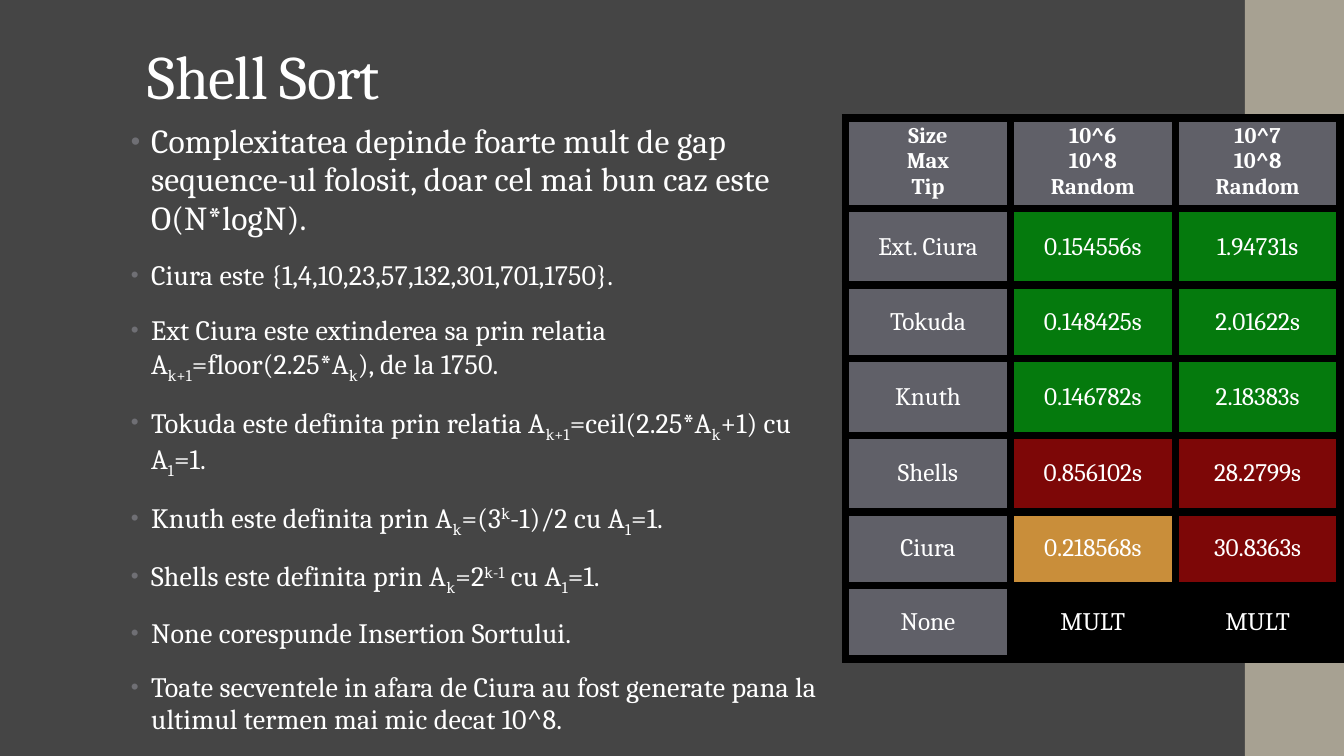
from lxml.etree import SubElement
from pptx import Presentation
from pptx.dml.color import RGBColor
from pptx.enum.shapes import MSO_SHAPE
from pptx.enum.text import MSO_ANCHOR, PP_ALIGN
from pptx.oxml.ns import qn
from pptx.util import Pt

WHITE = RGBColor(0xFF, 0xFF, 0xFF)
BLACK = RGBColor(0x00, 0x00, 0x00)
BACKGROUND = RGBColor(0x45, 0x45, 0x45)
SIDEBAR = RGBColor(0xA7, 0xA1, 0x92)
BULLET = RGBColor(0x6F, 0x6F, 0x74)
LABEL = RGBColor(0x60, 0x60, 0x68)
FAST = RGBColor(0x05, 0x7A, 0x0D)
MEDIUM = RGBColor(0xC9, 0x8E, 0x3A)
SLOW = RGBColor(0x7D, 0x07, 0x07)


def format_run(run, size, bold=False, spacing=0):
    run.font.name = "Cambria"
    run.font.size = Pt(size)
    run.font.bold = bold
    run.font.color.rgb = WHITE
    if spacing:
        run._r.get_or_add_rPr().set("spc", str(spacing))


def add_border(cell, color, width):
    properties = cell._tc.get_or_add_tcPr()
    for side in ("a:lnL", "a:lnR", "a:lnT", "a:lnB"):
        line = SubElement(properties, qn(side), w=str(Pt(width)))
        fill = SubElement(line, qn("a:solidFill"))
        SubElement(fill, qn("a:srgbClr"), val=str(color))


presentation = Presentation()
presentation.slide_width = Pt(960)
presentation.slide_height = Pt(540)
slide = presentation.slides.add_slide(presentation.slide_layouts[6])
slide.background.fill.solid()
slide.background.fill.fore_color.rgb = BACKGROUND

sidebar = slide.shapes.add_shape(MSO_SHAPE.RECTANGLE, Pt(889.2), Pt(0), Pt(70.8), Pt(540))
sidebar.shadow.inherit = False
sidebar.fill.solid()
sidebar.fill.fore_color.rgb = SIDEBAR
sidebar.line.fill.background()

title = slide.shapes.add_textbox(Pt(98.6), Pt(-20.2), Pt(763.2), Pt(104.4))
title.text_frame.word_wrap = True
title.text_frame.vertical_anchor = MSO_ANCHOR.BOTTOM
title.text_frame.text = "Shell Sort"
title_paragraph = title.text_frame.paragraphs[0]
title_paragraph.line_spacing = 0.9
format_run(title_paragraph.runs[0], 44, spacing=-50)

rows = [
    (("Size\nMax\nTip", LABEL), ("10^6\n10^8\nRandom", LABEL), ("10^7\n10^8\nRandom", LABEL)),
    (("Ext. Ciura", LABEL), ("0.154556s", FAST), ("1.94731s", FAST)),
    (("Tokuda", LABEL), ("0.148425s", FAST), ("2.01622s", FAST)),
    (("Knuth", LABEL), ("0.146782s", FAST), ("2.18383s", FAST)),
    (("Shells", LABEL), ("0.856102s", SLOW), ("28.2799s", SLOW)),
    (("Ciura", LABEL), ("0.218568s", MEDIUM), ("30.8363s", SLOW)),
    (("None", LABEL), ("MULT", BLACK), ("MULT", BLACK)),
]
row_heights = [54.7, 54.7, 52.6, 54.7, 54.7, 52.6, 52.6]

table = slide.shapes.add_table(
    len(rows), 3, Pt(604), Pt(84.2), Pt(353.25), Pt(sum(row_heights))
).table
table.horz_banding = False
for column in table.columns:
    column.width = Pt(117.75)
for row_index, row in enumerate(rows):
    table.rows[row_index].height = Pt(row_heights[row_index])
    is_header = row_index == 0
    for column_index, (text, color) in enumerate(row):
        cell = table.cell(row_index, column_index)
        add_border(cell, BLACK, 6)
        cell.fill.solid()
        cell.fill.fore_color.rgb = color
        cell.vertical_anchor = MSO_ANCHOR.TOP if is_header else MSO_ANCHOR.MIDDLE
        cell.text_frame.text = text
        for paragraph in cell.text_frame.paragraphs:
            paragraph.alignment = PP_ALIGN.CENTER
            format_run(paragraph.runs[0], 16 if is_header else 18, bold=is_header)

# "|_" opens a subscript and "|^" a superscript; the next "|" closes it
notes = [
    "Complexitatea depinde foarte mult de gap sequence-ul folosit, "
    "doar\u00a0cel mai bun caz este O(N*logN).",
    "Ciura este {1,4,10,23,57,132,301,701,1750}.",
    "Ext Ciura este extinderea sa prin relatia A|_k+1|=floor(2.25*A|_k|), de la 1750.",
    "Tokuda este definita prin\u00a0relatia\u00a0A|_k+1|=ceil(2.25*A|_k|+1) cu A|_1|=1.",
    "Knuth este\u00a0definita prin A|_k|=(3|^k|-1)/2 cu A|_1|=1.",
    "Shells este definita prin A|_k|=2|^k-1| cu A|_1|=1.",
    "None corespunde Insertion Sortului.",
    "Toate secventele in afara de Ciura au fost generate pana la "
    "ultimul termen mai mic decat 10^8.",
]
baselines = {"_": "-25000", "^": "30000"}

body = slide.shapes.add_textbox(Pt(86.4), Pt(84.2), Pt(517.7), Pt(432))
body.text_frame.word_wrap = True
for index, note in enumerate(notes):
    paragraph = body.text_frame.paragraphs[0] if index == 0 else body.text_frame.add_paragraph()
    paragraph.line_spacing = 0.95
    paragraph.space_before = Pt(14)
    paragraph.space_after = Pt(2)
    properties = paragraph._p.get_or_add_pPr()
    properties.set("marL", str(Pt(14.4)))
    properties.set("indent", str(-Pt(14.4)))
    bullet_color = SubElement(properties, qn("a:buClr"))
    SubElement(bullet_color, qn("a:srgbClr"), val=str(BULLET))
    SubElement(properties, qn("a:buSzPct"), val="80000")
    SubElement(properties, qn("a:buFont"), typeface="Arial")
    SubElement(properties, qn("a:buChar"), char="•")
    for part in note.split("|"):
        run = paragraph.add_run()
        baseline = baselines.get(part[0])
        run.text = part[1:] if baseline else part
        format_run(run, 24 if index == 0 else 20, spacing=10)
        if baseline:
            run._r.get_or_add_rPr().set("baseline", baseline)

presentation.save("out.pptx")
